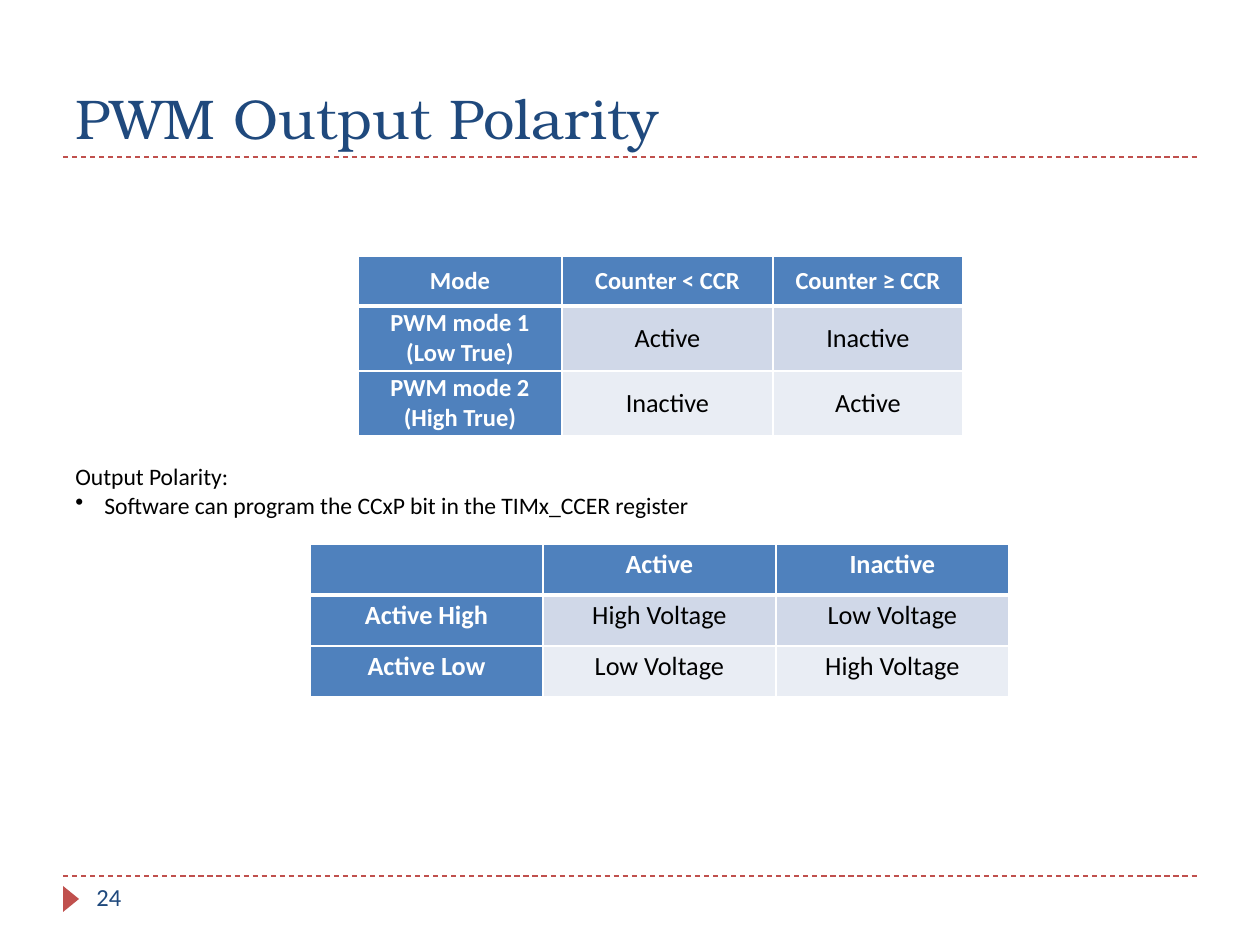
"""Build the PWM output polarity slide with its two lookup tables."""
from lxml.etree import SubElement
from pptx import Presentation
from pptx.dml.color import RGBColor
from pptx.enum.dml import MSO_LINE_DASH_STYLE as DASH
from pptx.enum.shapes import MSO_CONNECTOR_TYPE as CONNECTOR, MSO_SHAPE as SHAPE
from pptx.enum.text import MSO_ANCHOR as ANCHOR, PP_ALIGN as ALIGN
from pptx.oxml.ns import qn
from pptx.util import Emu, Pt

NAVY = RGBColor(0x1F, 0x49, 0x7D)
RED = RGBColor(0xC0, 0x50, 0x4D)
BLUE = RGBColor(0x4F, 0x81, 0xBD)
BANDS = [RGBColor(0xD0, 0xD8, 0xE8), RGBColor(0xE9, 0xED, 0xF4)]
WHITE = RGBColor(0xFF, 0xFF, 0xFF)
BLACK = RGBColor(0x00, 0x00, 0x00)


def px(*values):
    return [Emu(round(value * 914400 / 126)) for value in values]


def add_text(box, lines, size, color, font="Calibri", anchor=ANCHOR.TOP):
    frame = slide.shapes.add_textbox(*px(*box)).text_frame
    frame.word_wrap = True
    frame.vertical_anchor = anchor
    frame.text = "\n".join(lines)
    for paragraph in frame.paragraphs:
        paragraph.font.size = Pt(size)
        paragraph.font.name = font
        paragraph.font.color.rgb = color
    return frame


presentation = Presentation()
presentation.slide_width, presentation.slide_height = px(1260, 945)
slide = presentation.slides.add_slide(presentation.slide_layouts[6])

for y in (876, 157):
    rule = slide.shapes.add_connector(CONNECTOR.STRAIGHT, *px(63, y, 1197, y))
    rule.line.color.rgb = RED
    rule.line.width = Pt(0.75)
    rule.line.dash_style = DASH.DASH
    SubElement(rule._element.spPr, qn("a:effectLst"))

marker = slide.shapes.add_shape(SHAPE.ISOSCELES_TRIANGLE, *px(58, 891, 26, 16))
marker.rotation = 90
marker.shadow.inherit = False
marker.fill.solid()
marker.fill.fore_color.rgb = RED
marker.line.fill.background()

add_text((63, 21, 1134, 136), ["PWM Output Polarity"], 32, NAVY, "TeX Gyre Bonum", ANCHOR.BOTTOM)
add_text((84, 876, 273, 50), ["24"], 14, NAVY)

MODES = [
    ["Mode", "Counter < CCR", "Counter ≥ CCR"],
    ["PWM mode 1\n(Low True)", "Active", "Inactive"],
    ["PWM mode 2\n(High True)", "Inactive", "Active"],
]
LEVELS = [
    ["", "Active", "Inactive"],
    ["Active High", "High Voltage", "Low Voltage"],
    ["Active Low", "Low Voltage", "High Voltage"],
]
TABLES = [
    (MODES, 358, 256, [204, 211, 190], [50, 65, 65], 14, (8, 0), ANCHOR.MIDDLE),
    (LEVELS, 310, 544, [233] * 3, [51] * 3, 15, (9, 5), ANCHOR.TOP),
]
for texts, left, top, widths, heights, head_size, (side, edge), anchor in TABLES:
    box = px(left, top, sum(widths), sum(heights))
    table = slide.shapes.add_table(len(heights), len(widths), *box).table
    for column, width in zip(table.columns, px(*widths)):
        column.width = width
    for row_index, height in enumerate(px(*heights)):
        table.rows[row_index].height = height
        for column_index, text in enumerate(texts[row_index]):
            cell = table.cell(row_index, column_index)
            is_head = row_index == 0 or column_index == 0
            cell.text = text
            cell.vertical_anchor = anchor
            cell.margin_left, cell.margin_right = px(side, side)
            cell.margin_top, cell.margin_bottom = px(edge, edge)
            properties = cell._tc.get_or_add_tcPr()
            for tag in ("lnL", "lnR", "lnT", "lnB"):
                thick = (row_index, tag) in ((0, "lnB"), (1, "lnT"))
                border = SubElement(properties, qn(f"a:{tag}"), w=str(Pt(3 if thick else 1)))
                fill = SubElement(border, qn("a:solidFill"))
                SubElement(fill, qn("a:srgbClr"), val=str(WHITE))
            cell.fill.solid()
            cell.fill.fore_color.rgb = BLUE if is_head else BANDS[row_index - 1]
            for paragraph in cell.text_frame.paragraphs:
                paragraph.alignment = ALIGN.CENTER
                paragraph.font.name = "Calibri"
                paragraph.font.size = Pt(head_size if is_head else 15)
                paragraph.font.bold = is_head
                paragraph.font.color.rgb = WHITE if is_head else BLACK

polarity = add_text(
    (63, 456, 798, 71),
    ["Output Polarity:", "Software can program the CCxP bit in the TIMx_CCER register"],
    13.5,
    BLACK,
)
bullet_properties = polarity.paragraphs[1]._p.get_or_add_pPr()
indent = px(29)[0]
bullet_properties.set("marL", str(indent))
bullet_properties.set("indent", str(-indent))
bullet = bullet_properties.makeelement(qn("a:buChar"), char="•")
bullet_properties.insert(0, bullet)

presentation.save("out.pptx")
